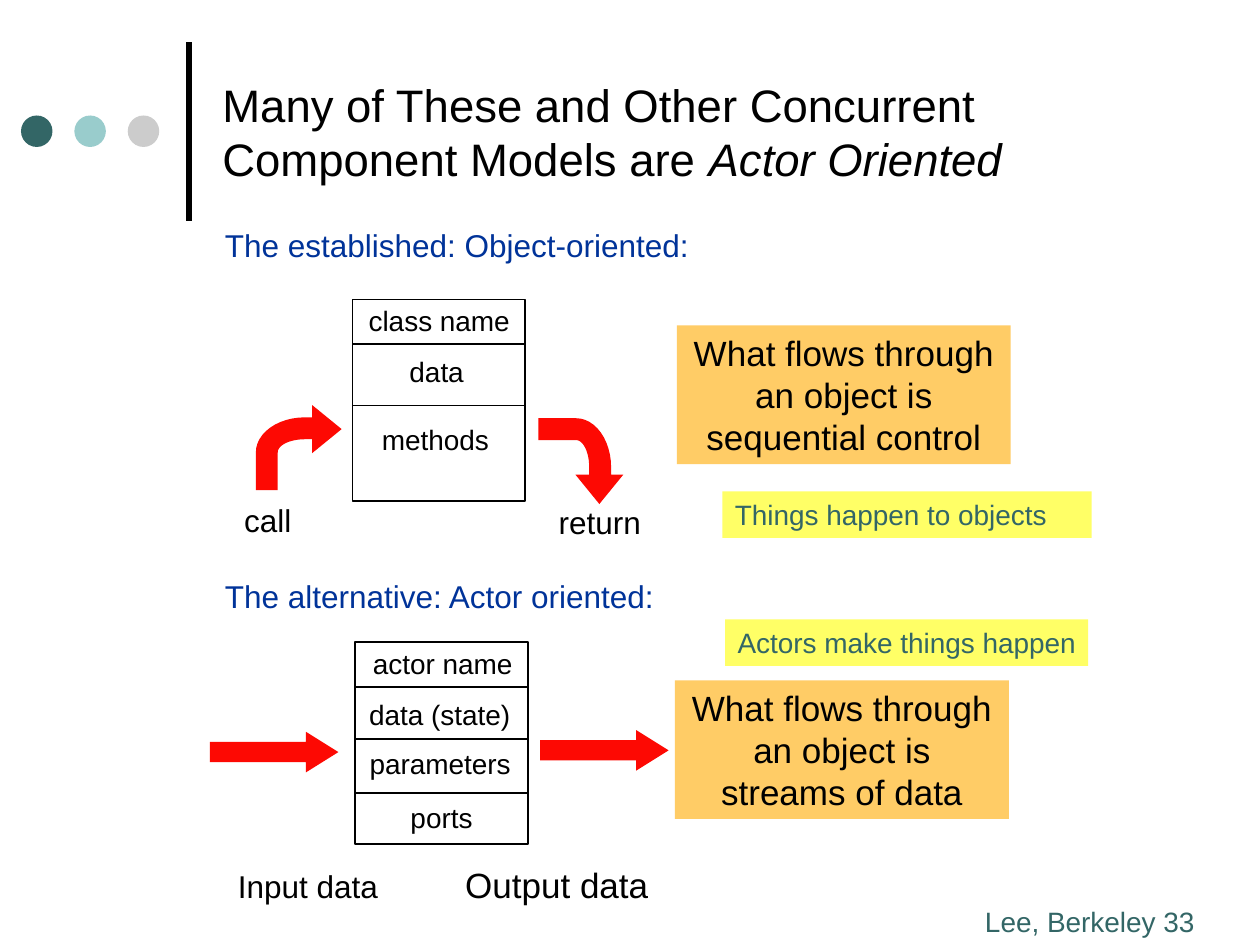
import math

from lxml import etree
from pptx import Presentation
from pptx.dml.color import RGBColor
from pptx.enum import shapes, text
from pptx.oxml import ns
from pptx.util import Pt

BLACK, RED, BLUE, TEAL = "000000", "FD0903", "003399", "336666"
ORANGE, YELLOW = "FFCC66", "FFFF66"
LEFT, CENTER = text.PP_ALIGN.LEFT, text.PP_ALIGN.CENTER


def rgb(value):
    return RGBColor.from_string(value)


def add_text(words, left, top, width, height, size, color=BLACK,
             align=CENTER, wrap=False, fill=None):
    box = [Pt(length) for length in (left, top, width, height)]
    if fill:
        shape = slide.shapes.add_shape(shapes.MSO_SHAPE.RECTANGLE, *box)
        shape.shadow.inherit = False
        shape.fill.solid()
        shape.fill.fore_color.rgb = rgb(fill)
        shape.line.fill.background()
    else:
        shape = slide.shapes.add_textbox(*box)
    frame = shape.text_frame
    frame.word_wrap = wrap
    frame.vertical_anchor = text.MSO_ANCHOR.TOP
    paragraph = frame.paragraphs[0]
    paragraph.add_run().text = words
    paragraph.alignment = align
    paragraph.font.name = "Arial"
    paragraph.font.size = Pt(size)
    paragraph.font.color.rgb = rgb(color)
    return shape


presentation = Presentation()
presentation.slide_width, presentation.slide_height = Pt(720), Pt(540)
slide = presentation.slides.add_slide(presentation.slide_layouts[6])

# Decorative dots beside the title
for index, color in enumerate((TEAL, "99CCCC", "CCCCCC")):
    dot = slide.shapes.add_shape(shapes.MSO_SHAPE.OVAL, Pt(12 + 30.5 * index),
                                 Pt(66), Pt(18), Pt(18))
    dot.shadow.inherit = False
    dot.fill.solid()
    dot.fill.fore_color.rgb = rgb(color)
    dot.line.fill.background()

# Title and footer
title = add_text("Many of These and Other Concurrent Component Models are ",
                 120, 15, 582, 120, 26, align=LEFT, wrap=True)
title.text_frame.vertical_anchor = text.MSO_ANCHOR.MIDDLE
emphasis = title.text_frame.paragraphs[0].add_run()
emphasis.text = "Actor Oriented"
emphasis.font.italic = True
add_text("Lee, Berkeley 33", 555.8, 513.3, 160, 26.7, 16, TEAL, LEFT)

# Section headings
for heading, top in (("The established: Object-oriented:", 125.5),
                     ("The alternative: Actor oriented:", 326)):
    add_text(heading, 121.5, top, 310, 29, 18, BLUE, LEFT)

# Class box and actor box: left, top, divider heights
lines = [(108, 126, 108, 24, 3)]
for left, top, dividers in ((201.4, 171.2, (196.6, 231.8)),
                            (203, 367, (392.4, 422.5, 453))):
    outline = slide.shapes.add_shape(shapes.MSO_SHAPE.RECTANGLE, Pt(left),
                                     Pt(top), Pt(98.6), Pt(115.2))
    outline.shadow.inherit = False
    outline.fill.background()
    outline.line.color.rgb = rgb(BLACK)
    outline.line.width = Pt(1)
    lines += [(left, y, left + 98.6, y, 1) for y in dividers]

# Title rule and box dividers
for x1, y1, x2, y2, weight in lines:
    line = slide.shapes.add_connector(shapes.MSO_CONNECTOR.STRAIGHT,
                                      Pt(x1), Pt(y1), Pt(x2), Pt(y2))
    line.line.color.rgb = rgb(BLACK)
    line.line.width = Pt(weight)
    etree.SubElement(line.element.spPr, ns.qn("a:effectLst"))

# Labels, centred: words, left, top, width, size
for words, left, top, width, size in (
    ("class name", 196, 170, 110, 16),
    ("data", 219.5, 198.8, 60, 16),
    ("methods", 203.8, 238, 90, 16),
    ("actor name", 198, 366, 110, 16),
    ("data (state)", 196.3, 394.8, 110, 16),
    ("parameters", 196.5, 423.2, 110, 16),
    ("ports", 219.8, 453.8, 65, 16),
    ("call", 123, 282.5, 60, 18),
    ("return", 302.8, 283.7, 80, 18),
    ("Input data", 121, 491.8, 110, 18),
    ("Output data", 250.7, 490, 135, 20),
):
    add_text(words, left, top, width, size * 1.2 + 7.5, size)

# Bent arrow outline, pointing right, with elliptical bends
turn = [math.radians(7.5 * step) for step in range(13)]
outer = [(28 - 28 * math.cos(a), 27 - 20 * math.sin(a)) for a in turn]
inner = [(28 - 15.5 * math.cos(a), 27 - 7.5 * math.sin(a)) for a in turn]
head = [(32.2, 7), (32.2, 0), (49, 13.7), (32.2, 27.4), (32.2, 19.5)]
bend = [(0, 48.5), *outer, *head, *reversed(inner), (12.5, 48.5)]
call_points = [(Pt(146.2 + x), Pt(231.5 + y)) for x, y in bend]
return_points = [(Pt(356.2 - y), Pt(239 + x)) for x, y in bend]
arrows = []
for points in (call_points, return_points):
    builder = slide.shapes.build_freeform(*points[0])
    builder.add_line_segments(points[1:], close=True)
    arrows.append(builder.convert_to_shape())

# Straight data arrows
for left, top in ((120, 418.2), (308.7, 417.2)):
    arrow = slide.shapes.add_shape(shapes.MSO_SHAPE.RIGHT_ARROW, Pt(left),
                                   Pt(top), Pt(73.4), Pt(23.2))
    arrow.adjustments[0], arrow.adjustments[1] = 0.5, 0.8
    arrows.append(arrow)
for arrow in arrows:
    arrow.shadow.inherit = False
    arrow.fill.solid()
    arrow.fill.fore_color.rgb = rgb(RED)
    arrow.line.fill.background()

# Coloured remarks
for flow, left, top in (("sequential control", 386.8, 186),
                        ("streams of data", 385.7, 388.8)):
    add_text("What flows through an object is " + flow, left, top, 190.8, 79.2,
             20, wrap=True, fill=ORANGE)
add_text("Things happen to objects", 412.8, 280.8, 211, 26.6, 16, TEAL, LEFT,
         wrap=True, fill=YELLOW)
add_text("Actors make things happen", 414.4, 354, 207.4, 26.6, 16, TEAL, LEFT,
         fill=YELLOW)

presentation.save("out.pptx")
